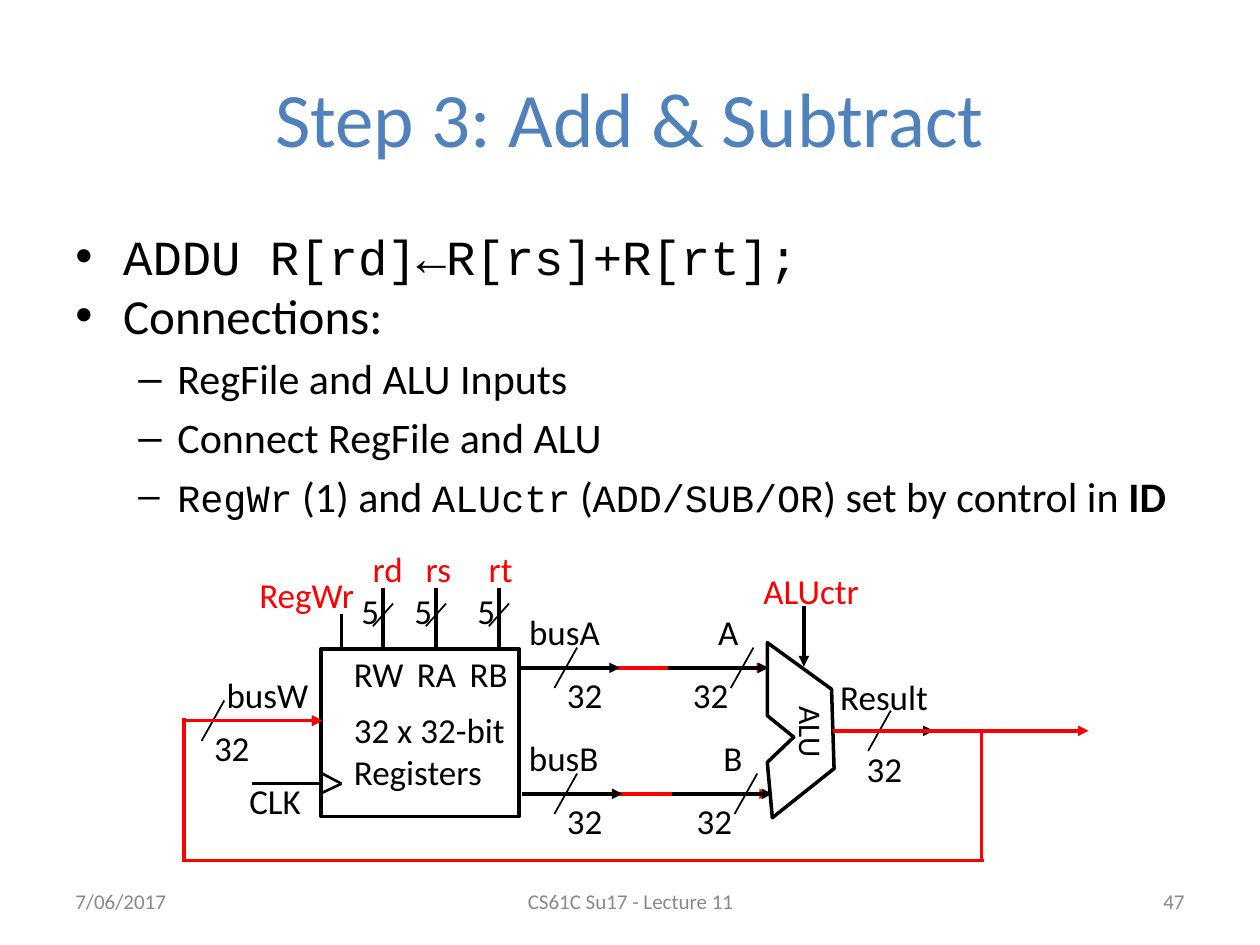
"""Build the "Step 3: Add & Subtract" datapath slide."""
from lxml.etree import SubElement
from pptx import Presentation
from pptx.dml.color import RGBColor
from pptx.enum.shapes import MSO_CONNECTOR as CONN, MSO_SHAPE as SHAPE
from pptx.enum.text import MSO_ANCHOR as ANCHOR, PP_ALIGN as ALIGN
from pptx.oxml.ns import qn
from pptx.util import Inches, Pt

COLORS = {"ink": "000000", "red": "FF0000", "title": "4F81BD", "footer": "888888"}
SANS, MONO = "Calibri", "Courier New"

CODE = {"font": MONO, "size": 22}
BODY = [
    (0, [("ADDU R[rd]←R[rs]+R[rt];", {"font": MONO})]),
    (0, [("Connections:", {})]),
    (1, [("RegFile and ALU Inputs", {})]),
    (1, [("Connect RegFile and ALU", {})]),
    (1, [("RegWr", CODE), (" (1) and ", {}), ("ALUctr", CODE), (" (", {}),
         ("ADD/SUB/OR", CODE), (") set by control in ", {}), ("ID", {"bold": True})]),
]
LEVELS = [
    {"bullet": "•", "size": 28, "left": 0.38, "hang": 0.38, "before": 0},
    {"bullet": "–", "size": 24, "left": 0.81, "hang": 0.31, "before": 4.8},
]
FOOTERS = [
    ("7/06/2017", 0.5, 2.33, ALIGN.LEFT),
    ("CS61C Su17 - Lecture 11", 3.42, 3.17, ALIGN.CENTER),
    ("47", 7.17, 2.33, ALIGN.RIGHT),
]

LABELS = [
    ("Result", 6.57, 5.31, 0.93, "ink"),
    ("CLK", 1.88, 6.14, 0.61, "ink"),
    ("busW", 1.7, 5.3, 0.86, "ink"),
    ("ALUctr", 5.96, 4.47, 1.08, "red"),
    ("RegWr", 1.96, 4.5, 0.97, "red"),
]
# Register ports: signal, signal left and width, wire x, port, port left and width.
PORTS = [
    ("rd", 2.86, 0.44, 3.04, "RW", 2.71, 0.6),
    ("rs", 3.28, 0.4, 3.46, "RA", 3.21, 0.52),
    ("rt", 3.78, 0.39, 3.96, "RB", 3.63, 0.5),
]
BUSES = [
    ("busA", 0.78, "A", 5.6, 0.36, 5.3, 0),
    ("busB", 0.77, "B", 5.64, 0.35, 6.3, 0.03),
]
CONTROL_WIRES = [
    ((6.38, 4.81), (6.38, 5.29), "ink", 2, True),
    ((1.45, 5.72), (2.56, 5.72), "ink", 2, True),
    ((2.71, 5.15), (2.71, 4.87), "ink", 2, False),
    ((2.53, 6.22), (2, 6.22), "ink", 2, False),
    ((2.54, 6.13), (2.71, 6.22), "ink", 1.5, False),
    ((2.71, 6.22), (2.54, 6.3), "ink", 1.5, False),
    ((6.61, 5.8), (7.41, 5.8), "ink", 2, True),
]
FEEDBACK_WIRES = [
    ((6.61, 5.8), (8.64, 5.8), "red", 2, True),
    ((7.79, 5.81), (7.79, 6.82), "red", 2, False),
    ((7.81, 6.83), (1.45, 6.83), "red", 2, False),
    ((1.46, 6.84), (1.46, 5.7), "red", 2, False),
    ((1.45, 5.72), (2.56, 5.72), "red", 2, True),
]
ALU = [(6.09, 5.55), (6.09, 5.1), (6.6, 5.47), (6.62, 6.1), (6.13, 6.49),
       (6.09, 6.05), (6.3, 5.85), (6.09, 5.68)]

prs = Presentation()
prs.slide_width, prs.slide_height = Inches(10), Inches(7.5)
s = prs.slides.add_slide(prs.slide_layouts[6])


def rgb(name):
    return RGBColor.from_string(COLORS[name])


def add_run(p, text, size=20, color="ink", font=SANS, bold=None):
    r = p.add_run()
    r.text = text
    r.font.size, r.font.name, r.font.bold = Pt(size), font, bold
    r.font.color.rgb = rgb(color)


def add_text(text, x, y, w, h=0.43, align=ALIGN.LEFT, anchor=ANCHOR.TOP,
             wrap=False, rotation=0, **fmt):
    sp = s.shapes.add_textbox(Inches(x), Inches(y), Inches(w), Inches(h))
    sp.rotation = rotation
    tf = sp.text_frame
    tf.word_wrap, tf.vertical_anchor = wrap, anchor
    for i, line in enumerate(text.split("\n") if text else []):
        p = tf.add_paragraph() if i else tf.paragraphs[0]
        p.alignment = align
        add_run(p, line, **fmt)
    return tf


def add_line(start, end, color="ink", width=2, arrow=False):
    c = s.shapes.add_connector(CONN.STRAIGHT, *(Inches(v) for v in (*start, *end)))
    c.line.color.rgb, c.line.width = rgb(color), Pt(width)
    if arrow:
        SubElement(c.line._get_or_add_ln(), qn("a:tailEnd"), type="triangle")
    SubElement(c._element.spPr, qn("a:effectLst"))


def add_slash(x, y, label_x, label_y):
    add_line((x + 0.18, y - 0.16), (x, y + 0.16), width=1)
    add_text("32", label_x, label_y, 0.48)


def outline(sp):
    sp.shadow.inherit = False
    sp.fill.background()
    sp.line.color.rgb, sp.line.width = rgb("ink"), Pt(2)


def add_body():
    tf = add_text("", 0.5, 1.75, 9, 5.4, wrap=True)
    for i, (level, runs) in enumerate(BODY):
        style = LEVELS[level]
        p = tf.add_paragraph() if i else tf.paragraphs[0]
        p.level, p.space_before = level, Pt(style["before"])
        pPr = p._p.get_or_add_pPr()
        pPr.set("marL", str(Inches(style["left"])))
        pPr.set("indent", str(-Inches(style["hang"])))
        SubElement(SubElement(pPr, qn("a:buClr")), qn("a:srgbClr"), val=COLORS["ink"])
        SubElement(pPr, qn("a:buFont"), typeface="Arial")
        SubElement(pPr, qn("a:buChar"), char=style["bullet"])
        for text, fmt in runs:
            add_run(p, text, **{"size": style["size"], **fmt})


def add_datapath():
    outline(s.shapes.add_shape(SHAPE.RECTANGLE, *map(Inches, (2.55, 5.15, 1.57, 1.33))))
    add_text("32 x 32-bit\nRegisters", 2.71, 5.57, 1.41, 0.77)
    for text, x, y, w, color in LABELS:
        add_text(text, x, y, w, color=color)
    for signal, signal_x, signal_w, x, port, port_x, port_w in PORTS:
        add_line((x, 4.67), (x, 5.14))
        add_line((x - 0.08, 4.97), (x + 0.08, 4.79), width=1)
        add_text("5", x - 0.27, 4.63, 0.34)
        add_text(port, port_x, 5.13, port_w)
        add_text(signal, signal_x, 4.3, signal_w, color="red")
    for wire in CONTROL_WIRES:
        add_line(*wire)
    add_slash(1.6, 5.72, 1.6, 5.72)
    add_slash(6.89, 5.8, 6.78, 5.88)
    add_text("ALU", 6.13, 5.62, 0.62, 0.4, rotation=90, size=18)
    for _, _, _, _, _, y, dx in BUSES:
        x = 4.12 + dx * 2 / 3
        add_line((x, y), (x + 1.97, y), "red", arrow=True)
    points = [(Inches(x), Inches(y)) for x, y in ALU]
    ff = s.shapes.build_freeform(*points[0])
    ff.add_line_segments(points[1:], close=True)
    outline(ff.convert_to_shape())
    for bus, bus_w, port, port_x, port_w, y, dx in BUSES:
        for x in (4.12 + dx * 2 / 3, 5.3 + dx):
            add_line((x, y), (x + 0.8, y), arrow=True)
        add_slash(4.4, y, 4.4, y)
        add_slash(5.8 + dx, y, 5.4 + dx, y)
        add_text(bus, 4.1, y - 0.5, bus_w)
        add_text(port, port_x, y - 0.5, port_w, align=ALIGN.RIGHT)
    for wire in FEEDBACK_WIRES:
        add_line(*wire)


add_text("Step 3: Add & Subtract", 0.5, 0.3, 9, 1.25, align=ALIGN.CENTER,
         anchor=ANCHOR.MIDDLE, wrap=True, size=44, color="title")
add_body()
add_datapath()
for text, x, w, align in FOOTERS:
    add_text(text, x, 6.95, w, 0.4, align=align, anchor=ANCHOR.MIDDLE, wrap=True,
             size=12, color="footer")
prs.save("out.pptx")
